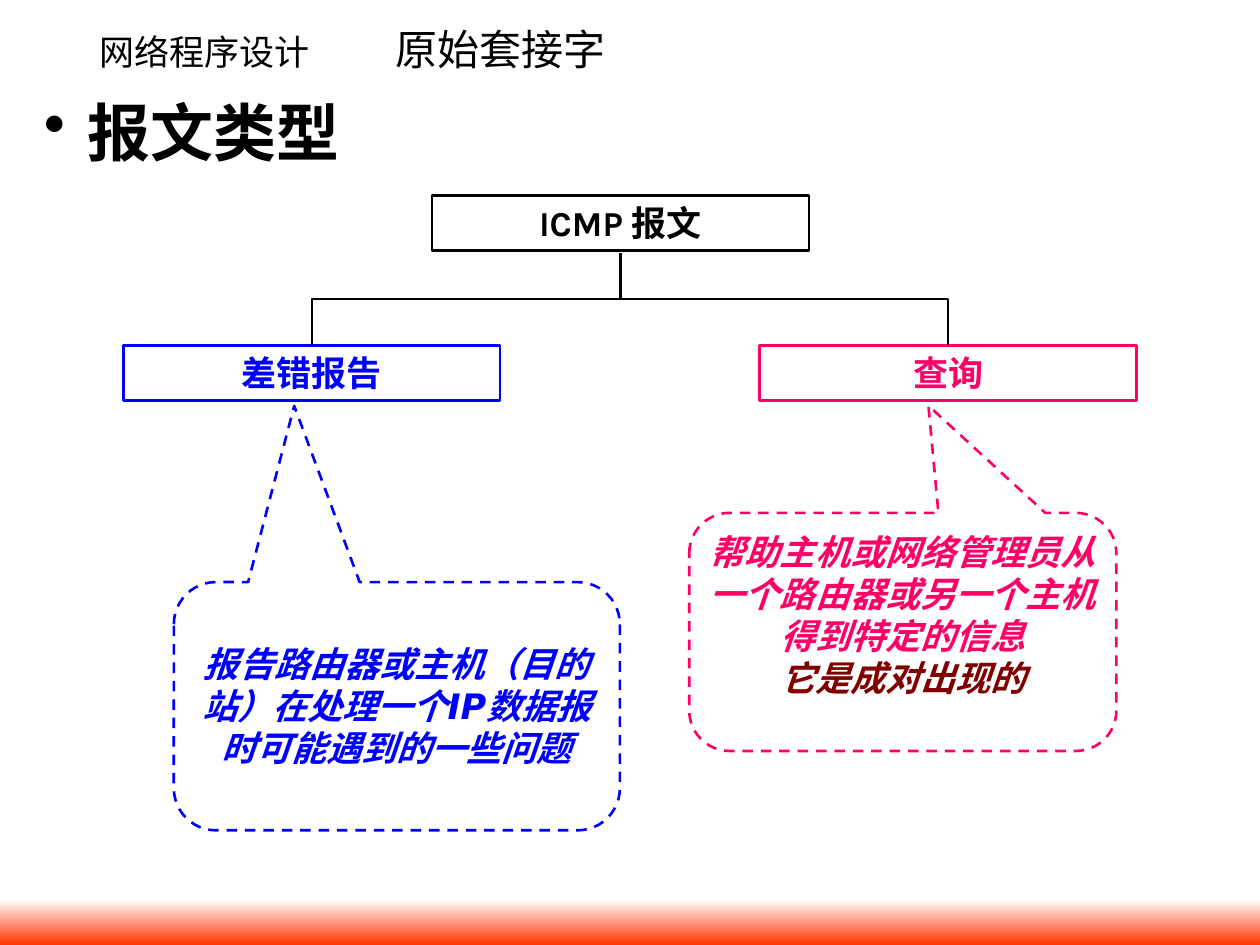
import pptx
import pptx.dml.color
import pptx.enum.dml
import pptx.enum.shapes
import pptx.enum.text
import pptx.oxml.ns
import pptx.util
from lxml import etree

Inches = pptx.util.Inches
Shape = pptx.enum.shapes.MSO_SHAPE
Align = pptx.enum.text.PP_ALIGN
Anchor = pptx.enum.text.MSO_ANCHOR
qn = pptx.oxml.ns.qn

COLORS = {"black": "000000", "blue": "0000FF", "pink": "FF0066",
          "maroon": "800000", "white": "FFFFFF", "orange": "FF3300"}
EAST_ASIAN = "Noto Sans CJK SC"
WIDTH, HEIGHT = 10, 7.5
FOOTER_HEIGHT = 0.36
BOX_WIDTH, BOX_HEIGHT = 2.99, 0.44
LINE_GAP = 0.02
LINE_WIDTH = 1.5

# Runs are (text, size, font, color, bold, italic)
HEADER = [("网络程序设计\t", 20, "Noto Sans CJK JP", "black", False, False),
          ("原始套接字", 24, EAST_ASIAN, "black", False, False)]
TITLE = [("报文类型", 36, "Karla", "black", True, False)]
ROOT = ("ICMP 报文", "black", 3.43, 1.55)
CHILDREN = [("差错报告", "blue", 0.98, 2.74), ("查询", "pink", 6.03, 2.74)]
CALLOUTS = [
    {"place": (1.38, 4.62, 3.54, 1.97), "color": "blue", "top_inset": 0.38,
     "adjustments": (-0.23, -1.21, 0.17), "font": "DejaVu Sans",
     "lines": [("报告路由器或主机（目的站）在处理一个IP数据报时可能遇到的一些问题", "blue")]},
    {"place": (5.47, 4.07, 3.39, 1.89), "color": "pink", "top_inset": 0.05,
     "adjustments": (0.06, -0.95, 0.17), "font": "Karla",
     "lines": [("帮助主机或网络管理员从一个路由器或另一个主机得到特定的信息", "pink"),
               ("它是成对出现的", "maroon")]},
]


def rgb(name):
    return pptx.dml.color.RGBColor.from_string(COLORS[name])


def write(frame, paragraphs, align=Align.LEFT):
    """Fill a text frame with paragraphs, each a list of runs."""
    frame.word_wrap = True
    for index, runs in enumerate(paragraphs):
        paragraph = frame.add_paragraph() if index else frame.paragraphs[0]
        paragraph.alignment = align
        for text, size, font, color, bold, italic in runs:
            run = paragraph.add_run()
            run.text = text
            run.font.size = pptx.util.Pt(size)
            run.font.name = font
            run.font.bold, run.font.italic = bold, italic
            run.font.color.rgb = rgb(color)
            latin = run._r.rPr.find(qn("a:latin"))
            east_asian = etree.Element(qn("a:ea"), typeface=EAST_ASIAN)
            latin.addnext(east_asian)


def add_outlined(slide, kind, place, color, paragraphs, top_inset=0.05):
    shape = slide.shapes.add_shape(kind, *map(Inches, place))
    shape.shadow.inherit = False
    shape.fill.background()
    shape.line.color.rgb = rgb(color)
    shape.line.width = pptx.util.Pt(LINE_WIDTH)
    frame = shape.text_frame
    frame.margin_left = frame.margin_right = 0
    frame.margin_top, frame.margin_bottom = Inches(top_inset), Inches(0.05)
    frame.vertical_anchor = Anchor.TOP
    write(frame, paragraphs, Align.CENTER)
    return shape


def add_box(slide, text, color, left, top):
    runs = [(text, 20, "Karla", color, True, False)]
    add_outlined(slide, Shape.RECTANGLE, (left, top, BOX_WIDTH, BOX_HEIGHT), color, [runs])


def add_branch(slide, start, end):
    """Draw a down-across-down elbow: a sideways elbow turned a quarter."""
    width, height = end[1] - start[1], abs(end[0] - start[0])
    left = (start[0] + end[0] - width) / 2
    top = (start[1] + end[1] - height) / 2
    connector = slide.shapes.add_connector(
        pptx.enum.shapes.MSO_CONNECTOR.ELBOW,
        *map(Inches, (left, top, left + width, top + height)))
    connector.line.color.rgb = rgb("black")
    connector.line.width = pptx.util.Pt(LINE_WIDTH)
    properties = connector._element.spPr
    etree.SubElement(properties, qn("a:effectLst"))
    transform = properties.find(qn("a:xfrm"))
    goes_left = end[0] < start[0]
    transform.set("rot", str((90 if goes_left else 270) * 60000))
    if not goes_left:
        transform.set("flipH", "1")


def add_header(slide):
    frame = slide.shapes.add_textbox(*map(Inches, (0.69, 0.14, 8.58, 0.5))).text_frame
    tabs = etree.SubElement(frame.paragraphs[0]._p.get_or_add_pPr(), qn("a:tabLst"))
    etree.SubElement(tabs, qn("a:tab"), pos=str(Inches(2.35)), algn="l")
    write(frame, [HEADER])


def add_title(slide):
    frame = slide.shapes.add_textbox(*map(Inches, (0.25, 0.58, 3, 0.92))).text_frame
    frame.vertical_anchor = Anchor.MIDDLE
    properties = frame.paragraphs[0]._p.get_or_add_pPr()
    indent = Inches(0.35)
    properties.set("marL", str(indent))
    properties.set("indent", str(-indent))
    etree.SubElement(properties, qn("a:buChar"), char="•")
    write(frame, [TITLE])


def add_footer(slide):
    place = (0, HEIGHT - FOOTER_HEIGHT, WIDTH, FOOTER_HEIGHT)
    band = slide.shapes.add_shape(Shape.RECTANGLE, *map(Inches, place))
    band.shadow.inherit = False
    band.line.fill.background()
    band.fill.gradient()
    band.fill.gradient_angle = 270
    for stop, position, color in zip(band.fill.gradient_stops, (0, 1), ("white", "orange")):
        stop.position = position
        stop.color.rgb = rgb(color)


def main():
    presentation = pptx.Presentation()
    presentation.slide_width, presentation.slide_height = Inches(WIDTH), Inches(HEIGHT)
    slide = presentation.slides.add_slide(presentation.slide_layouts[6])
    add_header(slide)
    add_footer(slide)
    add_title(slide)

    for box in [ROOT, *CHILDREN]:
        add_box(slide, *box)
    start = (ROOT[2] + BOX_WIDTH / 2, ROOT[3] + BOX_HEIGHT + LINE_GAP)
    for _, _, left, top in CHILDREN:
        add_branch(slide, start, (left + BOX_WIDTH / 2, top))

    for callout in CALLOUTS:
        paragraphs = [[(text, 20, callout["font"], color, True, True)]
                      for text, color in callout["lines"]]
        shape = add_outlined(slide, Shape.ROUNDED_RECTANGULAR_CALLOUT, callout["place"],
                             callout["color"], paragraphs, callout["top_inset"])
        shape.line.dash_style = pptx.enum.dml.MSO_LINE.DASH
        for index, value in enumerate(callout["adjustments"]):
            shape.adjustments[index] = value

    presentation.save("out.pptx")


if __name__ == "__main__":
    main()
